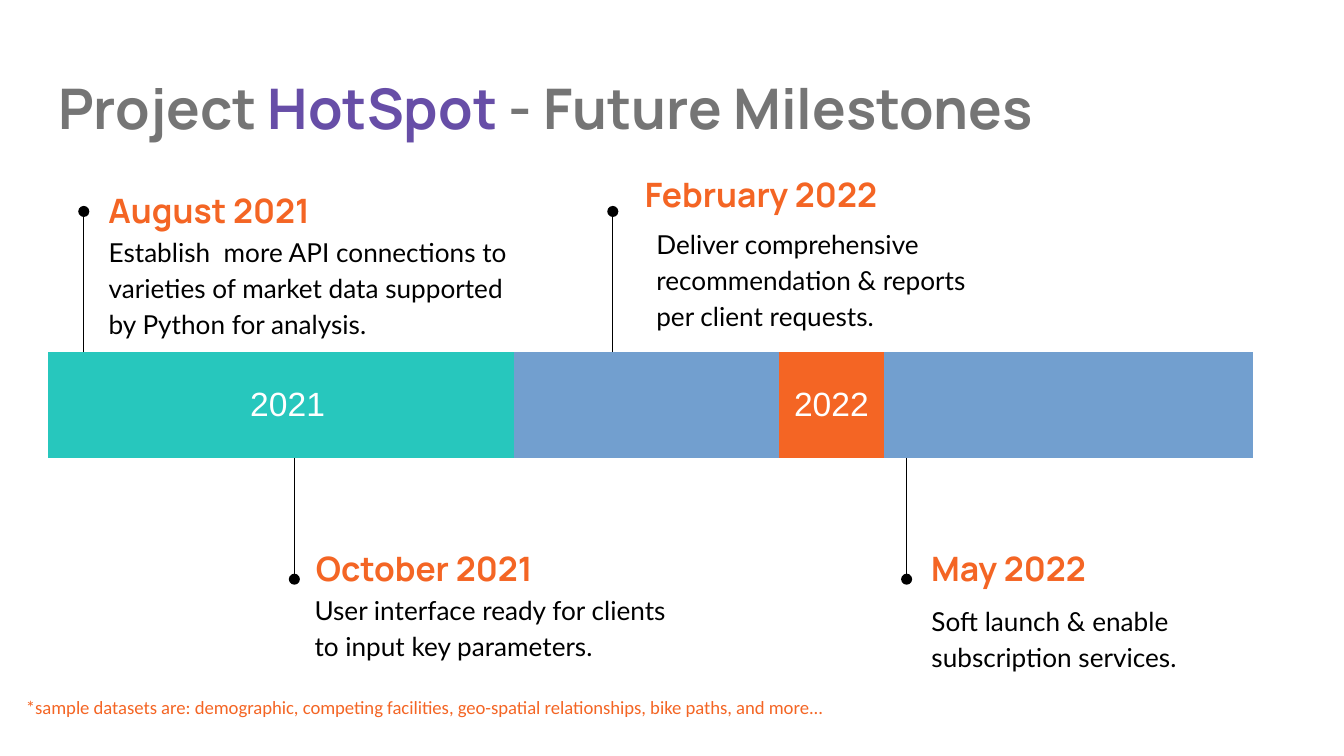
from lxml import etree
from pptx import Presentation
from pptx.dml.color import RGBColor
from pptx.enum.shapes import MSO_CONNECTOR
from pptx.enum.text import MSO_ANCHOR, MSO_AUTO_SIZE, PP_ALIGN
from pptx.oxml.ns import qn
from pptx.util import Pt

STRAIGHT = MSO_CONNECTOR.STRAIGHT
TOP, MIDDLE = MSO_ANCHOR.TOP, MSO_ANCHOR.MIDDLE
LEFT, CENTER = PP_ALIGN.LEFT, PP_ALIGN.CENTER
NO_AUTOFIT = MSO_AUTO_SIZE.NONE
COMPARISON_LAYOUT = 4
NO_STYLE_NO_GRID = "{2D5ABB26-0587-4C30-8999-92F81FD0307C}"

COLORS = {
    "gray": "757575", "purple": "674EA7", "orange": "F46524", "teal": "27C7BD",
    "black": "000000", "white": "FFFFFF",
}

TITLE = [("Project ", "gray"), ("HotSpot", "purple"), (" - Future Milestones", "gray")]
FOOTNOTE = ("*sample datasets are: demographic, competing facilities, "
            "geo-spatial relationships, bike paths, and more...")

# date, description, marker x, date (left, top, width), description (left, top, width)
MILESTONES = [
    ("August 2021",
     "Establish  more API connections to varieties of market data supported "
     "by Python for analysis.",
     44.9, (51, 97.2, 182), (51, 117, 235.4)),
    ("October 2021", "User interface ready for clients to input key parameters.",
     157.7, (162.2, 288.7, 182), (161.3, 308.6, 216)),
    ("February 2022",
     "Deliver comprehensive recommendation & reports per client requests.",
     328.3, (338.4, 88.6, 185), (344.4, 112.6, 185)),
    ("May 2022", "Soft launch & enable subscription services.",
     485.7, (491.8, 288.7, 185), (491.8, 314.6, 185)),
]

BAR_LEFT, BAR_TOP, BAR_HEIGHT = 25.5, 188.6, 56.9
MONTH, WIDE_MONTH, NARROW_MONTH = 56, 82, 30
COLUMNS = [MONTH] * 3 + [WIDE_MONTH, NARROW_MONTH] + [MONTH] * 6 + [NARROW_MONTH]
# year, fill, number of columns, right margin
YEARS = [("2021", "teal", 4, 0), ("2022", "orange", 8, 7.2)]
STEM_ABOVE_END, STEM_BELOW_END = 113.3, 310.3
INSET = 7.2


def color(name):
    return RGBColor.from_string(COLORS[name])


def write(tf, text, *, size, font, fill="black", bold=False, align=LEFT,
          anchor=TOP, spacing=1.0):
    """Fill a text frame; text is a string or a list of (text, colour) runs."""
    tf.word_wrap = True
    tf.auto_size = NO_AUTOFIT
    tf.vertical_anchor = anchor
    tf.margin_left = tf.margin_right = tf.margin_top = tf.margin_bottom = Pt(INSET)
    p = tf.paragraphs[0]
    pPr = p._p.get_or_add_pPr()
    pPr.set("marL", "0")
    pPr.set("indent", "0")
    etree.SubElement(pPr, qn("a:buNone"))
    p.alignment = align
    p.line_spacing = spacing
    p.space_before = Pt(0)
    for run_text, run_fill in [(text, fill)] if isinstance(text, str) else text:
        r = p.add_run()
        r.text = run_text
        r.font.name, r.font.size, r.font.bold = font, Pt(size), bold
        r.font.color.rgb = color(run_fill)


def place(s, left, top, width, height):
    s.left, s.top, s.width, s.height = Pt(left), Pt(top), Pt(width), Pt(height)


def add_timeline(slide):
    frame = slide.shapes.add_table(1, len(COLUMNS), Pt(BAR_LEFT), Pt(BAR_TOP),
                                   Pt(sum(COLUMNS)), Pt(BAR_HEIGHT))
    table = frame.table
    table.first_row = table.horz_banding = False
    table._tbl.tblPr.find(qn("a:tableStyleId")).text = NO_STYLE_NO_GRID
    table.rows[0].height = Pt(BAR_HEIGHT)
    for column, width in zip(table.columns, COLUMNS):
        column.width = Pt(width)
    start = 0
    for year, fill, span, margin_right in YEARS:
        cell = table.cell(0, start)
        cell.merge(table.cell(0, start + span - 1))
        cell.fill.solid()
        cell.fill.fore_color.rgb = color(fill)
        cell.vertical_anchor = MIDDLE
        cell.margin_left = cell.margin_top = cell.margin_bottom = Pt(INSET)
        cell.margin_right = Pt(margin_right)
        p = cell.text_frame.paragraphs[0]
        p.alignment = CENTER
        r = p.add_run()
        r.text = year
        r.font.name, r.font.size = "Arial", Pt(18)
        r.font.color.rgb = color("white")
        start += span


def add_stem(slide, x, above):
    """Draw a line from the timeline's edge out to a round dot."""
    start = BAR_TOP if above else BAR_TOP + BAR_HEIGHT
    end = STEM_ABOVE_END if above else STEM_BELOW_END
    line = slide.shapes.add_connector(STRAIGHT, Pt(x), Pt(start), Pt(x), Pt(end))
    line.line.color.rgb = color("black")
    line.line.width = Pt(0.75)
    etree.SubElement(line.line._get_or_add_ln(), qn("a:tailEnd"), type="oval")
    etree.SubElement(line._element.spPr, qn("a:effectLst"))


def main():
    prs = Presentation()
    prs.slide_width, prs.slide_height = Pt(720), Pt(405)
    slide = prs.slides.add_slide(prs.slide_layouts[COMPARISON_LAYOUT])

    title = slide.shapes.title
    place(title, 24, 32.4, 671, 50.4)
    write(title.text_frame, TITLE, size=30, font="Manrope", bold=True)

    add_timeline(slide)
    for idx, (date, description, x, date_at, body_at) in enumerate(MILESTONES, 1):
        add_stem(slide, x, above=date_at[1] < BAR_TOP)
        left, top, width = date_at
        heading = slide.shapes.add_textbox(Pt(left), Pt(top), Pt(width), Pt(31))
        write(heading.text_frame, date, size=18, font="Manrope", fill="orange",
              bold=True, anchor=MIDDLE)
        body = slide.placeholders[idx]
        place(body, *body_at, 45.4)
        write(body.text_frame, description, size=14, font="Lato", spacing=1.15)

    note = slide.shapes.add_textbox(Pt(6.8), Pt(365.8), Pt(600), Pt(30))
    write(note.text_frame, FOOTNOTE, size=10, font="Calibri", fill="orange")

    prs.save("out.pptx")


if __name__ == "__main__":
    main()
